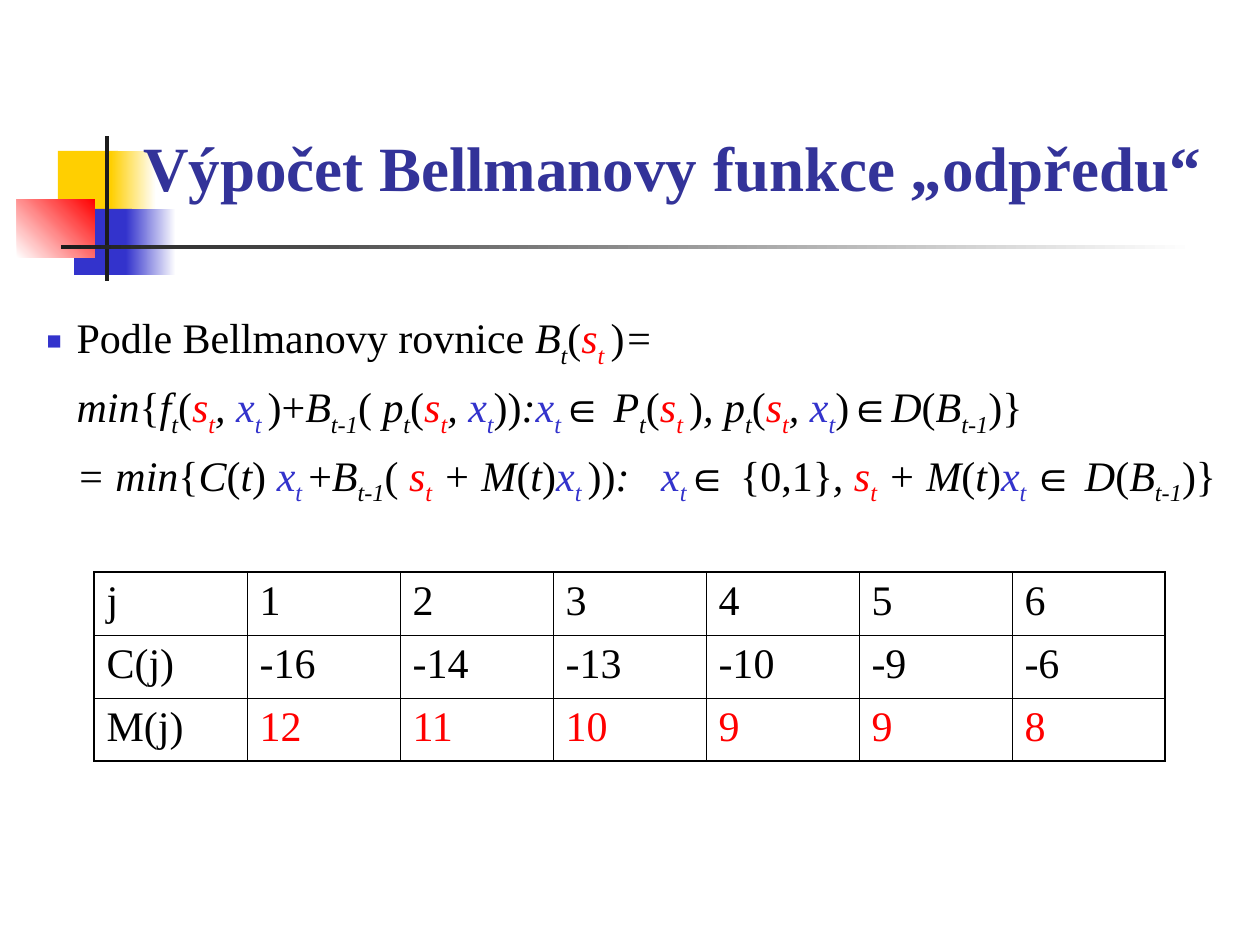
"""Build the slide on computing the Bellman function forwards."""
from dataclasses import dataclass

from lxml.etree import SubElement as Sub
from pptx import Presentation as Deck
from pptx.dml.color import RGBColor as Rgb
from pptx.enum.shapes import MSO_SHAPE as Kind
from pptx.enum.text import MSO_ANCHOR as Anchor, MSO_AUTO_SIZE as Fit, PP_ALIGN as Align
from pptx.oxml.ns import qn
from pptx.util import Pt

SCALE = 914400 / 126


@dataclass(frozen=True)
class Theme:
    face: str = "Times New Roman"
    sign: str = "Arial"
    ink: str = "000000"
    head: str = "333399"
    blue: str = "3333CC"
    red: str = "FF0000"
    gold: str = "FFCF01"
    dark: str = "1C1C1C"
    white: str = "FFFFFF"
    big: int = 36
    mid: int = 24
    thick: float = 1.08
    thin: float = 0.45


T = Theme()


@dataclass(frozen=True)
class Bit:
    text: str
    hue: str = T.ink
    slant: bool = True
    low: bool = False
    face: str = T.face


def px(n):
    return round(n * SCALE)


def up(text):
    return [Bit(text, slant=False)]


def it(text):
    return [Bit(text)]


def elem(tail=""):
    return [Bit("∈" + tail, face=T.sign)]


def sub(name, low="t", hue=T.ink):
    return [Bit(name, hue), Bit(low, hue, low=True)]


def state(low="t", name="s"):
    return sub(name, low, T.red)


def move(low="t"):
    return sub("x", low, T.blue)


def pair(low="t"):
    return up("(") + state() + it(", ") + move(low)


def call(name):
    return it(name) + up("(") + it("t")


def prev():
    return sub("B", "t-1")


def lines():
    first = (up("Podle Bellmanovy rovnice ") + sub("B") + up("(")
             + state("t ") + up(")") + it("="))
    second = (it("min") + up("{") + sub("f") + pair("t ") + up(")+")
              + prev() + up("( ") + sub("p") + pair() + up("))") + it(":")
              + move() + elem() + sub(" P") + up("(") + state("t ")
              + up(")") + sub(", p") + pair() + up(")") + elem()
              + it("D") + up("(") + prev() + up(")} "))
    third = (it("= min") + up("{") + call("C") + up(") ") + move("t ")
             + up("+") + prev() + up("(") + state(name=" s")
             + call(" + M") + up(")") + move("t ") + up("))")
             + it(":   ") + move() + elem(" ") + up("{0,1}") + it(", ")
             + state() + call(" + M") + up(")") + move("t ") + elem()
             + it(" D") + up("(") + prev() + up(")}"))
    return [first, second, third]


def write(para, bit, size, bold=False):
    run = para.add_run()
    run.text = bit.text
    font = run.font
    font.name, font.size = bit.face, Pt(size)
    font.bold, font.italic = bold, bit.slant
    font.color.rgb = Rgb.from_string(bit.hue)
    if bit.low:
        run._r.get_or_add_rPr().set("baseline", "-25000")


def place(shape, x, y, w, h):
    shape.left, shape.top, shape.width, shape.height = map(px, (x, y, w, h))


def block(slide, box, hue, end=None, turn=0):
    shape = slide.shapes.add_shape(Kind.RECTANGLE, *map(px, box))
    shape.shadow.inherit = False
    shape.line.fill.background()
    fill = shape.fill
    if end is None:
        fill.solid()
        fill.fore_color.rgb = Rgb.from_string(hue)
        return
    fill.gradient()
    fill.gradient_angle = turn
    for stop, tone in zip(fill.gradient_stops, (hue, end)):
        stop.color.rgb = Rgb.from_string(tone)


def motif(slide):
    block(slide, (58, 151, 60, 66), T.gold)
    block(slide, (111, 151, 45, 66), T.gold, T.white)
    block(slide, (74, 209, 58, 66), T.blue)
    block(slide, (126, 209, 50, 66), T.blue, T.white)
    block(slide, (17, 199, 78, 59), T.white, T.red, 45)
    block(slide, (105, 136, 4, 145), T.dark)
    block(slide, (61, 245, 1134, 4), T.dark, T.white)


def title(slide, text):
    shape = slide.shapes.title
    place(shape, 113, 47, 1119, 157)
    frame = shape.text_frame
    frame.margin_left = frame.margin_right = 0
    frame.margin_top = frame.margin_bottom = 0
    frame.word_wrap, frame.auto_size = True, Fit.NONE
    frame.vertical_anchor = Anchor.BOTTOM
    para = frame.paragraphs[0]
    para.alignment = Align.CENTER
    write(para, Bit(text, T.head, slant=False), T.big, bold=True)


def bullet(para):
    props = para._p.get_or_add_pPr()
    props.set("marL", str(px(30)))
    props.set("indent", str(px(-30)))
    tone = Sub(props, qn("a:buClr"))
    Sub(tone, qn("a:srgbClr"), val=T.blue)
    Sub(props, qn("a:buSzPct"), val="60000")
    Sub(props, qn("a:buFont"), typeface=T.sign)
    Sub(props, qn("a:buChar"), char="■")


def body(slide):
    shape = slide.placeholders[1]
    place(shape, 34, 294, 1212, 219)
    frame = shape.text_frame
    frame.word_wrap, frame.auto_size = True, Fit.SHAPE_TO_FIT_TEXT
    frame.vertical_anchor = Anchor.TOP
    para = frame.paragraphs[0]
    bullet(para)
    para.line_spacing, para.space_before = 1.2, Pt(0)
    for n, row in enumerate(lines()):
        if n:
            para.add_line_break()
        for bit in row:
            write(para, bit, T.mid)


def edge(cell, side, width):
    line = Sub(cell._tc.get_or_add_tcPr(), qn("a:ln" + side), w=str(Pt(width)))
    fill = Sub(line, qn("a:solidFill"))
    Sub(fill, qn("a:srgbClr"), val=T.ink)


def table(slide, rows):
    high, wide = len(rows), len(rows[0])
    box = map(px, (94, 572, 153 * wide, 63 * high))
    grid = slide.shapes.add_table(high, wide, *box).table
    grid.first_row = grid.horz_banding = False
    for r, row in enumerate(rows):
        for c, text in enumerate(row):
            cell = grid.cell(r, c)
            rims = {"L": c == 0, "R": c == wide - 1, "T": r == 0, "B": r == high - 1}
            for side, rim in rims.items():
                edge(cell, side, T.thick if rim else T.thin)
            cell.fill.background()
            hue = T.red if r == high - 1 and c else T.ink
            write(cell.text_frame.paragraphs[0], Bit(text, hue, slant=False), T.mid)


def main():
    deck = Deck()
    deck.slide_width, deck.slide_height = px(1260), px(945)
    slide = deck.slides.add_slide(deck.slide_layouts[1])
    motif(slide)
    title(slide, "Výpočet Bellmanovy funkce „odpředu“")
    body(slide)
    table(slide, [
        ["j", "1", "2", "3", "4", "5", "6"],
        ["C(j)", "-16", "-14", "-13", "-10", "-9", "-6"],
        ["M(j)", "12", "11", "10", "9", "9", "8"],
    ])
    tree = slide.shapes._spTree
    for shape in (slide.shapes.title, slide.placeholders[1]):
        tree.append(shape._element)
    tree.append(next(s for s in slide.shapes if s.has_table)._element)
    deck.save("out.pptx")


if __name__ == "__main__":
    main()
